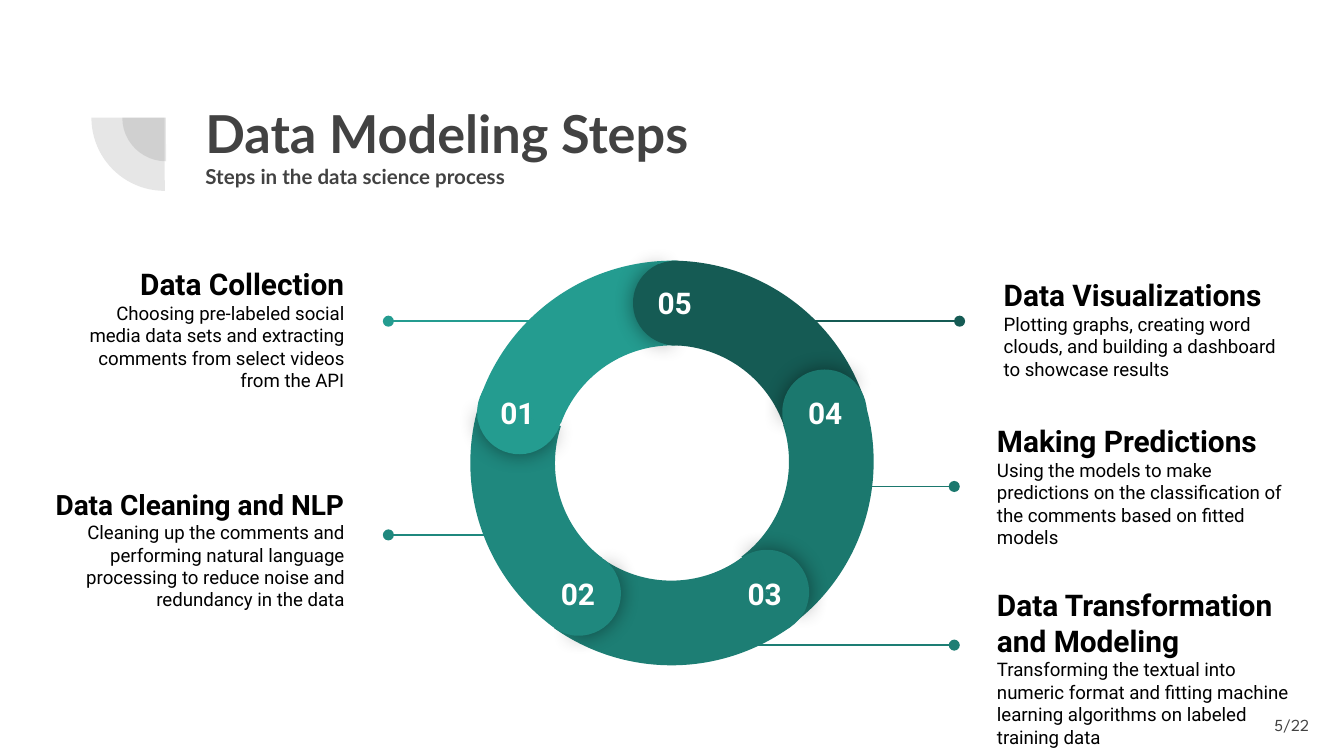
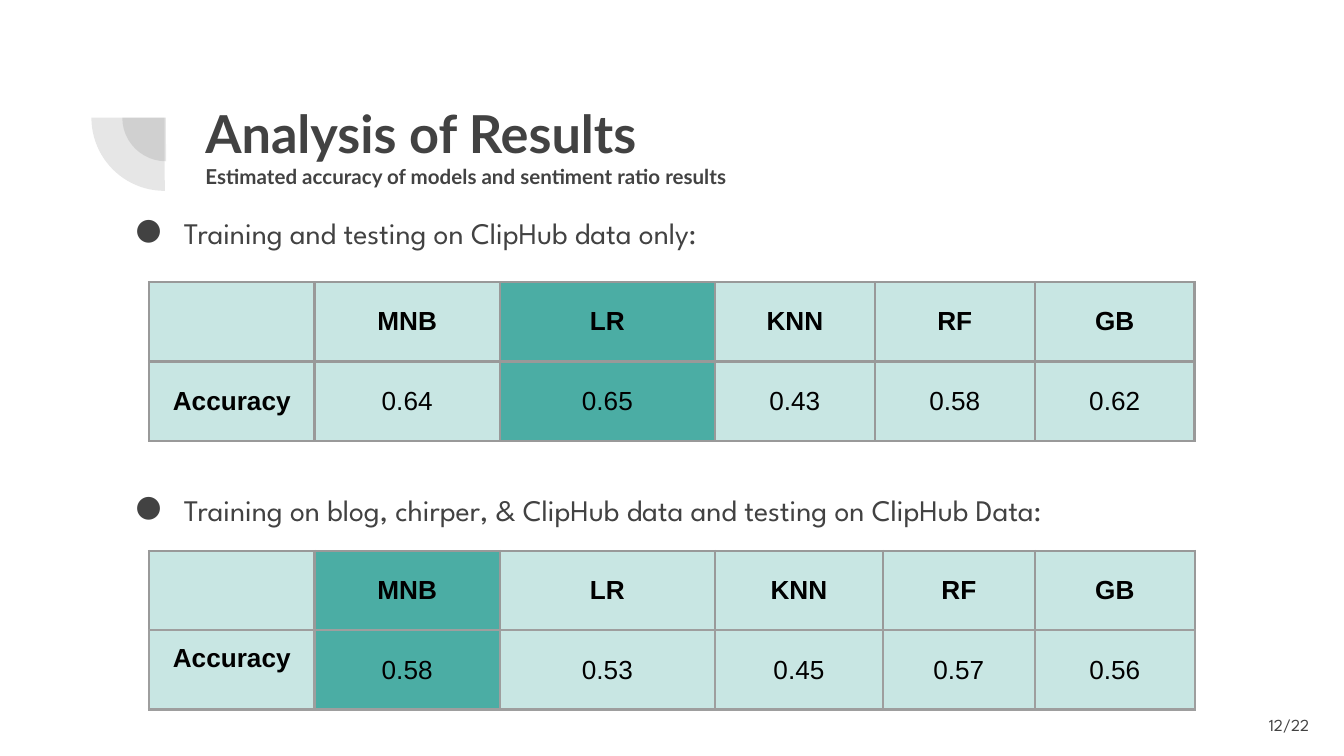
from lxml.etree import SubElement
from pptx import Presentation
from pptx.dml.color import RGBColor
from pptx.enum.shapes import MSO_CONNECTOR, MSO_SHAPE
from pptx.enum.text import MSO_ANCHOR, PP_ALIGN
from pptx.oxml.ns import qn
from pptx.util import Inches, Pt

GRAY = "424242"
BLACK = "000000"
WHITE = "FFFFFF"
TEAL = "249C90"
BORDER = "999999"
LOWER_BORDER = "9E9E9E"
STEP_COLORS = {"01": TEAL, "02": "1F887E", "03": "1D7E74", "04": "1B786E", "05": "155B54"}
RING_SIZE = 3.03
CAP_SIZE = 0.63
PAGE_COUNT = 22


def rgb(color):
    return RGBColor.from_string(color)


def add_xml(parent, tag, **attributes):
    return SubElement(parent, qn(tag), {name: str(value) for name, value in attributes.items()})


def add_color(parent, color, opacity=100):
    element = add_xml(parent, "a:srgbClr", val=color)
    if opacity < 100:
        add_xml(element, "a:alpha", val=opacity * 1000)


def paint(fill, color, opacity=100):
    fill.solid()
    fill.fore_color.rgb = rgb(color)
    if opacity < 100:
        color_element = fill._xPr.find(qn("a:solidFill"))[0]
        add_xml(color_element, "a:alpha", val=opacity * 1000)


def set_margins(holder):
    holder.margin_left = holder.margin_right = Inches(0.1)
    holder.margin_top = holder.margin_bottom = Inches(0.1)


def write(frame, text, size=10, font="Roboto", color=BLACK, bold=False,
          align=PP_ALIGN.LEFT, bullet=None):
    """Fill the frame's empty first paragraph, or append a new one."""
    paragraph = frame.paragraphs[0]
    if paragraph.runs:
        paragraph = frame.add_paragraph()
    paragraph.alignment = align
    if bullet:
        properties = paragraph._p.get_or_add_pPr()
        properties.set("marL", str(Inches(0.5)))
        properties.set("indent", str(Inches(-0.36)))
        add_color(add_xml(properties, "a:buClr"), color)
        add_xml(properties, "a:buFont", typeface=font)
        add_xml(properties, "a:buChar", char=bullet)
    run = paragraph.add_run()
    run.text = text
    run.font.size = Pt(size)
    run.font.name = font
    run.font.bold = bold
    run.font.color.rgb = rgb(color)


class Deck:
    """Holds the shared style and the slide being built."""

    def __init__(self):
        self.presentation = Presentation()
        self.presentation.slide_width = Inches(10)
        self.presentation.slide_height = Inches(10) * 9 // 16
        self.slide = None

    def start_slide(self, title, subtitle, page):
        self.slide = self.presentation.slides.add_slide(self.presentation.slide_layouts[6])
        paint(self.slide.background.fill, WHITE)
        for left, top, size in ((0.91, 0.55, 0.65), (0.68, 0.33, 1.09)):
            self.sector(MSO_SHAPE.PIE, left, top, size, 270, (179.88, 270), GRAY, opacity=13)
        frame = self.text_frame(1.43, 0.65, 7.69, 1.09)
        for text, size in ((title, 28), (subtitle, 11)):
            write(frame, text, size=size, font="Lato", color=GRAY, bold=True)
        footer = self.text_frame(9.24, 5.18, 0.6, 0.43, MSO_ANCHOR.MIDDLE)
        write(footer, f"{page}/{PAGE_COUNT}", size=9, font="League Spartan", color=GRAY,
              align=PP_ALIGN.RIGHT)

    def text_frame(self, left, top, width, height, anchor=MSO_ANCHOR.TOP):
        box = self.slide.shapes.add_textbox(
            Inches(left), Inches(top), Inches(width), Inches(height))
        frame = box.text_frame
        frame.word_wrap = True
        frame.vertical_anchor = anchor
        set_margins(frame)
        return frame

    def sector(self, kind, left, top, size, rotation, angles, color,
               opacity=100, thickness=None, glow=False):
        """Add a pie or a block arc between two angles in degrees."""
        shape = self.slide.shapes.add_shape(
            kind, Inches(left), Inches(top), Inches(size), Inches(size))
        shape.rotation = rotation
        for index, angle in enumerate(angles):
            shape.adjustments[index] = angle * 0.6
        if thickness:
            shape.adjustments[2] = thickness
        paint(shape.fill, color, opacity)
        shape.line.fill.background()
        shape.shadow.inherit = False
        if glow:
            effects = shape._element.spPr.find(qn("a:effectLst"))
            shadow = add_xml(effects, "a:outerShdw", blurRad=Pt(11.2), dist=0, dir=0,
                             algn="ctr", rotWithShape=0)
            add_color(shadow, BLACK, 43)

    def ring_arc(self, step, left, top, rotation):
        self.sector(MSO_SHAPE.BLOCK_ARC, left, top, RING_SIZE, rotation, (210.04, 281.13),
                    STEP_COLORS[step], thickness=CAP_SIZE / RING_SIZE)

    def ring_cap(self, step, left, top, rotation):
        """Round the end of an arc: a shadowed half under a plain one."""
        color = STEP_COLORS[step]
        self.sector(MSO_SHAPE.PIE, left, top, CAP_SIZE, rotation, (103.17, 249.94), color,
                    glow=True)
        self.sector(MSO_SHAPE.PIE, left, top, CAP_SIZE, (rotation + 179.3) % 360,
                    (67.14, 286.4), color)

    def leader(self, step, start, end, y):
        line = self.slide.shapes.add_connector(
            MSO_CONNECTOR.STRAIGHT, Inches(start), Inches(y), Inches(end), Inches(y))
        line.line.color.rgb = rgb(STEP_COLORS[step])
        line.line.width = Pt(0.75)
        add_xml(line.line._get_or_add_ln(), "a:tailEnd", type="oval")
        add_xml(line._element.spPr, "a:effectLst")

    def step_text(self, heading, body, left, top, width, size=16, align=PP_ALIGN.LEFT):
        frame = self.text_frame(left, top, width, 1.01, MSO_ANCHOR.MIDDLE)
        write(frame, heading, size=size, bold=True, align=align)
        write(frame, body, align=align)

    def bullet(self, text, top, width):
        write(self.text_frame(0.77, top, width, 0.68), text, size=16,
              font="League Spartan", color=GRAY, bullet="●")

    def score_table(self, top, widths, scores, best, borders, label_anchor=MSO_ANCHOR.MIDDLE):
        """Add a table of accuracies with the best model's column darker."""
        rows = [["", *scores], ["Accuracy", *scores.values()]]
        row_height = 0.59
        table = self.slide.shapes.add_table(
            len(rows), len(widths), Inches(1.11), Inches(top),
            Inches(sum(widths)), Inches(row_height * len(rows))).table
        table.first_row = table.horz_banding = False
        for column, width in zip(table.columns, widths):
            column.width = Inches(width)
        for row_index, values in enumerate(rows):
            table.rows[row_index].height = Inches(row_height)
            for column_index, value in enumerate(values):
                cell = table.cell(row_index, column_index)
                is_label = row_index == 0 or column_index == 0
                set_margins(cell)
                cell.vertical_anchor = label_anchor if value == "Accuracy" else MSO_ANCHOR.MIDDLE
                self.cell_borders(cell, borders[row_index])
                paint(cell.fill, TEAL, 82 if rows[0][column_index] == best else 25)
                if value:
                    write(cell.text_frame, value, size=14, font="Arial", bold=is_label,
                          align=PP_ALIGN.CENTER)

    def cell_borders(self, cell, color):
        properties = cell._tc.get_or_add_tcPr()
        for side in "LRTB":
            line = add_xml(properties, f"a:ln{side}", w=Pt(1.5))
            add_color(add_xml(line, "a:solidFill"), color)


def build_steps(deck):
    deck.start_slide("Data Modeling Steps", "Steps in the data science process", 5)

    for step, start, end, y in (
        ("01", 4.23, 2.89, 2.39),
        ("02", 3.91, 2.89, 3.98),
        ("03", 5.09, 7.1, 4.8),
        ("04", 6.14, 7.1, 3.62),
        ("05", 5.7, 7.14, 2.39),
    ):
        deck.leader(step, start, end, y)

    deck.step_text("Data Collection",
                   "Choosing pre-labeled social media data sets and extracting comments "
                   "from select videos from the API",
                   0.5, 1.94, 2.16, align=PP_ALIGN.RIGHT)
    deck.step_text("Data Cleaning and NLP",
                   "Cleaning up the comments and performing natural language processing "
                   "to reduce noise and redundancy in the data",
                   0.24, 3.58, 2.42, size=15, align=PP_ALIGN.RIGHT)
    deck.step_text("Data Transformation and Modeling",
                   "Transforming the textual into numeric format and fitting machine "
                   "learning algorithms on labeled training data",
                   7.32, 4.46, 2.47)
    deck.step_text("Making Predictions",
                   "Using the models to make predictions on the classification of the "
                   "comments based on fitted models",
                   7.32, 3.11, 2.37)
    deck.step_text("Data Visualizations",
                   "Plotting graphs, creating word clouds, and building a dashboard to "
                   "showcase results",
                   7.37, 1.94, 2.23)

    # Each cap overlaps the next arc, so the stacking order matters.
    for add_part, step, left, top, rotation in (
        (deck.ring_arc, "02", 3.5, 1.93, 277),
        (deck.ring_arc, "04", 3.47, 1.92, 132),
        (deck.ring_arc, "05", 3.48, 1.94, 60),
        (deck.ring_cap, "04", 5.82, 2.75, 67.1),
        (deck.ring_arc, "03", 3.48, 1.92, 204),
        (deck.ring_cap, "02", 3.99, 4.1, 211.1),
        (deck.ring_arc, "01", 3.49, 1.94, 350),
        (deck.ring_cap, "05", 4.71, 1.94, 357.1),
        (deck.ring_cap, "03", 5.39, 4.09, 139.1),
        (deck.ring_cap, "01", 3.55, 2.75, 284.1),
    ):
        add_part(step, left, top, rotation)

    for step, left, top in (("05", 4.74, 2.02), ("01", 3.57, 2.84), ("02", 4.02, 4.18),
                            ("03", 5.41, 4.18), ("04", 5.86, 2.84)):
        write(deck.text_frame(left, top, 0.56, 0.29), step, size=16, color=WHITE,
              bold=True, align=PP_ALIGN.CENTER)


def build_results(deck):
    deck.start_slide("Analysis of Results",
                     "Estimated accuracy of models and sentiment ratio results", 12)
    deck.bullet("Training and testing on ClipHub data only:", 1.5, 8.77)
    deck.score_table(
        2.1, (1.23, 1.38, 1.6, 1.19, 1.19, 1.19),
        {"MNB": "0.64", "LR": "0.65", "KNN": "0.43", "RF": "0.58", "GB": "0.62"},
        best="LR", borders=(BORDER, BORDER))
    deck.bullet("Training on blog, chirper, & ClipHub data and testing on ClipHub Data:",
                3.56, 8.45)
    deck.score_table(
        4.1, (1.23, 1.38, 1.6, 1.25, 1.13, 1.19),
        {"MNB": "0.58", "LR": "0.53", "KNN": "0.45", "RF": "0.57", "GB": "0.56"},
        best="MNB", borders=(BORDER, LOWER_BORDER), label_anchor=MSO_ANCHOR.TOP)


def main():
    deck = Deck()
    build_steps(deck)
    build_results(deck)
    deck.presentation.save("out.pptx")


if __name__ == "__main__":
    main()
